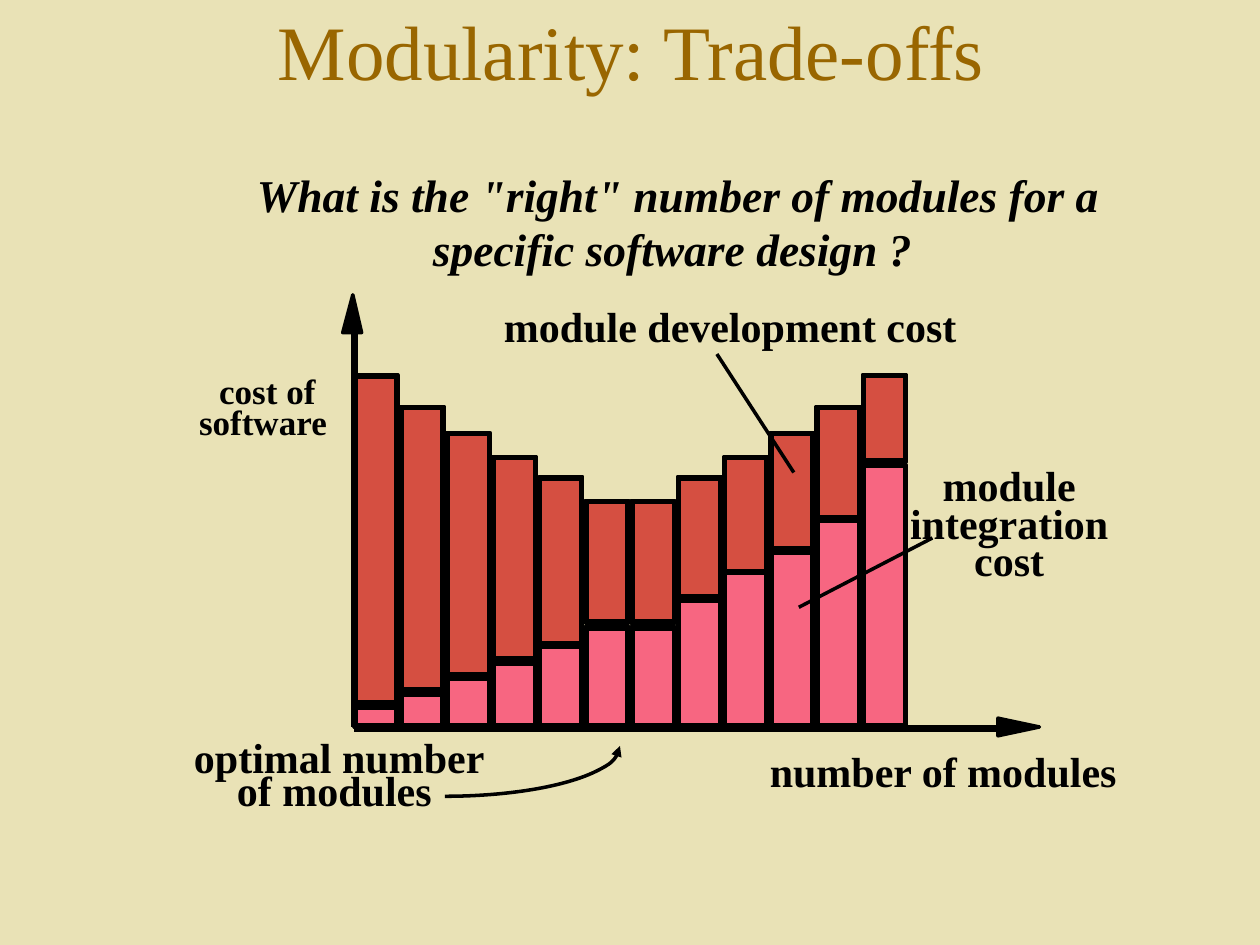
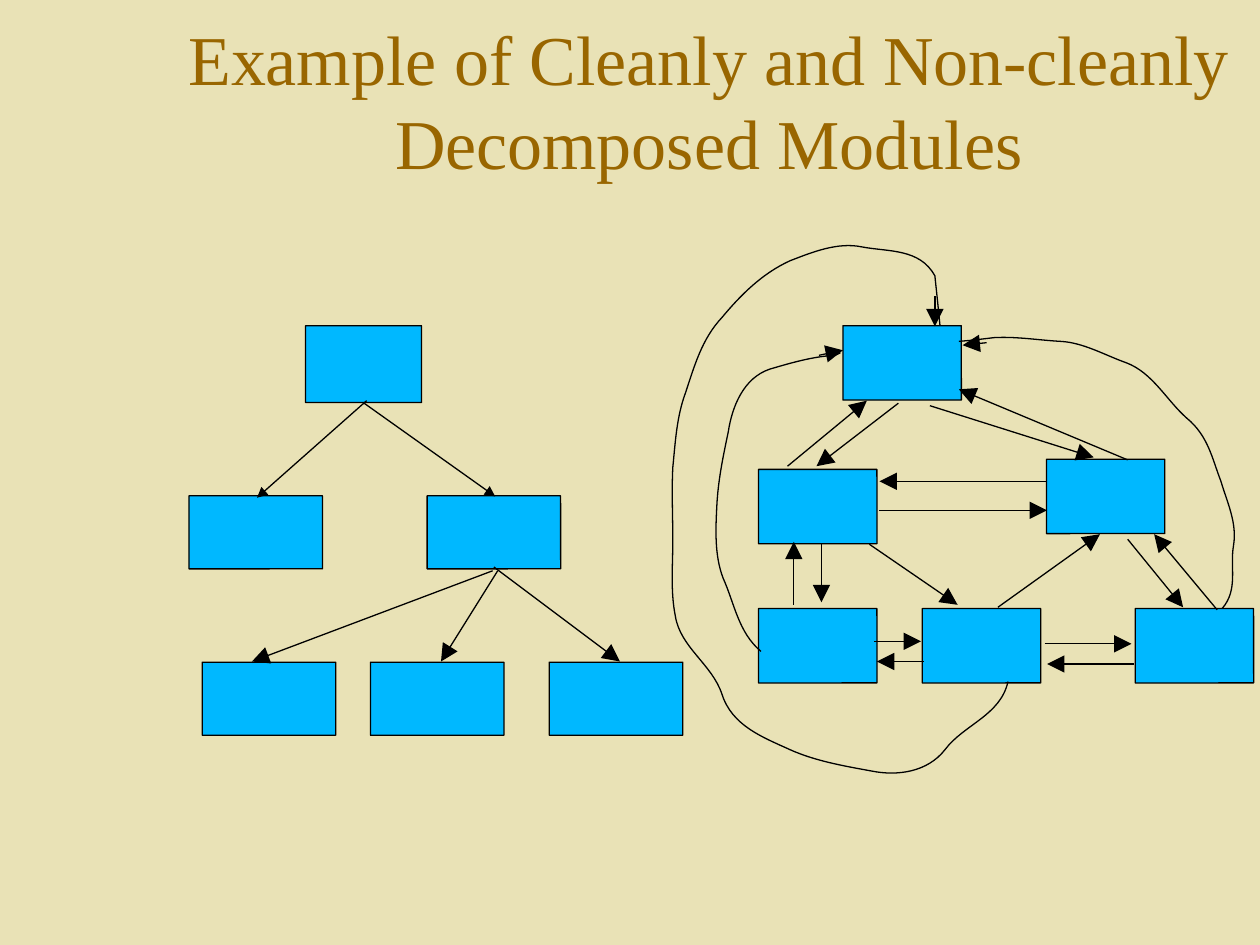
import dataclasses

import pptx
import pptx.dml.color
import pptx.enum.shapes
import pptx.enum.text
import pptx.oxml.ns
import pptx.util
from lxml import etree

COLORS = {
    "background": "E9E2B6",
    "title": "996600",
    "ink": "000000",
    "development": "D54F41",
    "integration": "F76681",
    "module": "00B8FF",
}
FONT = "Times New Roman"
COLUMNS, ROWS = 100, 75
SLIDE_WIDTH = pptx.util.Inches(10)
SLIDE_HEIGHT = pptx.util.Inches(7.5)
CELL = SLIDE_WIDTH // COLUMNS
ALIGN = pptx.enum.text.PP_ALIGN
ANCHOR = pptx.enum.text.MSO_ANCHOR
SHAPE = pptx.enum.shapes.MSO_SHAPE


@dataclasses.dataclass
class Region:
    """A part of a slide; positions inside it count grid cells from its corner."""
    slide: object
    left: float = 0
    top: float = 0

    def place(self, x, y):
        return int((self.left + x) * CELL), int((self.top + y) * CELL)

    def frame(self, x, y, width, height):
        return (*self.place(x, y), int(width * CELL), int(height * CELL))


def rgb(name):
    return pptx.dml.color.RGBColor.from_string(COLORS[name])


def style_shape(shape, fill, line_width):
    shape.shadow.inherit = False
    if fill:
        shape.fill.solid()
        shape.fill.fore_color.rgb = rgb(fill)
    else:
        shape.fill.background()
    style_line(shape.line, line_width)


def style_line(line, width):
    line.color.rgb = rgb("ink")
    line.width = pptx.util.Pt(width)


def add_arrowhead(line, size, end="tailEnd"):
    etree.SubElement(line._get_or_add_ln(), pptx.oxml.ns.qn(f"a:{end}"),
                     type="triangle", w=size, len=size)


def add_text(region, frame, lines, size, color="ink", align=ALIGN.LEFT, bold=True,
             italic=False, spacing=None, anchor=ANCHOR.TOP, insets=(0.11, 0.05)):
    text_frame = region.slide.shapes.add_textbox(*region.frame(*frame)).text_frame
    text_frame.word_wrap = True
    text_frame.vertical_anchor = anchor
    horizontal, vertical = (pptx.util.Inches(inset) for inset in insets)
    text_frame.margin_left = text_frame.margin_right = horizontal
    text_frame.margin_top = text_frame.margin_bottom = vertical
    text_frame.text = "\n".join(lines)
    for paragraph in text_frame.paragraphs:
        paragraph.alignment = align
        if spacing:
            paragraph.line_spacing = spacing
        font = paragraph.font
        font.name, font.size = FONT, pptx.util.Pt(size)
        font.bold, font.italic = bold, italic
        font.color.rgb = rgb(color)


def add_title(region, frame, text, size, anchor, insets):
    add_text(region, frame, [text], size, "title", ALIGN.CENTER, bold=False,
             anchor=anchor, insets=insets)


def add_preset(region, preset, frame, fill, line_width, adjustments=()):
    shape = region.slide.shapes.add_shape(preset, *region.frame(*frame))
    for index, adjustment in enumerate(adjustments):
        shape.adjustments[index] = adjustment
    style_shape(shape, fill, line_width)
    return shape


def add_line(region, start, end, width, arrow_size=None):
    connector = region.slide.shapes.add_connector(
        pptx.enum.shapes.MSO_CONNECTOR.STRAIGHT,
        *region.place(*start), *region.place(*end))
    etree.SubElement(connector._element.spPr, pptx.oxml.ns.qn("a:effectLst"))
    style_line(connector.line, width)
    if arrow_size:
        add_arrowhead(connector.line, arrow_size)


def add_outline(region, points, line_width, fill=None):
    """Draws a polygon when it has a fill, else an open path."""
    start, *others = [region.place(*point) for point in points]
    builder = region.slide.shapes.build_freeform(*start)
    builder.add_line_segments(others, close=bool(fill))
    shape = builder.convert_to_shape()
    style_shape(shape, fill, line_width)
    return shape


def add_curve(region, nodes, straight_end, line_width):
    """Nodes are a start, then two handles and an end for each cubic curve."""
    shape = add_outline(region, nodes + straight_end, line_width)
    segments = list(shape._element.iter(pptx.oxml.ns.qn("a:lnTo")))
    for first in range(0, len(nodes) - 1, 3):
        curve = etree.Element(pptx.oxml.ns.qn("a:cubicBezTo"))
        segments[first].addprevious(curve)
        for segment in segments[first:first + 3]:
            curve.append(segment[0])
            segment.getparent().remove(segment)


def add_cost_bars(region):
    bar_width, pitch, first_left, base = 3.2, 3.67, 18.22, 37.55
    border = 0.15
    falling_tops = [9.9, 12.4, 14.5, 16.4, 18, 19.9]
    tops = falling_tops + falling_tops[::-1]
    splits = [(35.7, 36.2), (34.7, 35.2), (33.5, 33.9), (32.2, 32.7),
              (31, 31.4), (29.3, 29.9), (29.3, 29.9), (27.3, 27.7),
              (25.3, 25.5), (23.5, 23.9), (21, 21.4), (16.5, 17)]
    for index, (top, (upper_end, lower_start)) in enumerate(zip(tops, splits)):
        left = first_left + index * pitch
        for fill, start, end in (("development", top, upper_end),
                                 ("integration", lower_start, base)):
            add_preset(region, SHAPE.RECTANGLE,
                       (left, start, bar_width, end - start), fill, 2)
            add_preset(region, SHAPE.RECTANGLE,
                       (left - border, start - border, bar_width + 2 * border,
                        end - start + 2 * border), None, 2)


def add_axes(region):
    origin_x, origin_y = 18.1, 37.8
    add_line(region, (origin_x, origin_y), (69.1, origin_y), 4)
    add_line(region, (origin_x, origin_y - 0.1), (origin_x, 6.3), 4)
    add_outline(region, [(72.5, 37.7), (69.2, 38.4), (69.2, 37.7), (69.2, 37)], 2, "ink")
    add_outline(region, [(18, 3.4), (18.7, 6.4), (18, 6.4), (17.2, 6.4)], 2, "ink")


def add_chart_labels(region):
    labels = [
        ("cost of", 6.3, 8.8, 12, 20),
        ("software", 4.7, 11.3, 14, 20),
        ("optimal number", 4.3, 37.55, 28, 24),
        ("of modules", 7.7, 40.2, 21, 24),
        ("number of modules", 50, 38.65, 32, 24),
        ("module development cost", 28.9, 3.35, 41, 24),
    ]
    for text, left, top, width, size in labels:
        add_text(region, (left, top, width, 5), [text], size)
    add_text(region, (60.1, 16.9, 20, 10), ["module", "integration", "cost"], 24,
             align=ALIGN.CENTER, spacing=0.75)
    add_line(region, (46.9, 8.1), (53, 17.5), 2)
    add_line(region, (64, 22.7), (53.4, 28.2), 2)
    quarter_turn = 54
    pointer = add_preset(region, SHAPE.ARC, (11.4, 35.2, 27.8, 8), None, 2,
                         (0, quarter_turn))
    add_arrowhead(pointer.line, "med", "headEnd")


def add_modules(region, corners, width, height):
    for left, top in corners:
        add_preset(region, SHAPE.ROUNDED_RECTANGLE, (left, top, width, height),
                   "module", 0.75, (0.003,))


def add_arrows(region, arrows, size="lg"):
    for start, end in arrows:
        add_line(region, start, end, 0.75, size)


def add_clean_tree(region):
    add_modules(region, [(14.25, 5.85)], 9.2, 6.1)
    add_modules(region, [(5, 19.35), (23.9, 19.35),
                         (6.05, 32.55), (19.4, 32.55), (33.6, 32.55)], 10.6, 5.8)
    add_arrows(region, [((19.1, 11.8), (10.4, 19.5)),
                        ((18.9, 12), (29.3, 19.4))], "med")
    add_arrows(region, [((29.1, 25.3), (10, 32.5)),
                        ((29.5, 25.3), (25, 32.5)),
                        ((29.2, 25), (39.2, 32.5))])


def add_tangled_graph(region):
    add_modules(region, [(16.9, 15.85), (33.05, 26.45), (40.1, 38.3),
                         (23.2, 38.3), (10.2, 38.3), (10.2, 27.25)], 9.4, 5.9)
    add_arrows(region, [
        ((21.3, 22), (14.8, 27)), ((12.5, 27), (18.8, 21.8)),
        ((23.8, 22.2), (36.8, 26.3)), ((39.5, 26.5), (26.1, 20.9)),
        ((19.8, 30.5), (33.1, 30.5)), ((33.1, 28.2), (19.8, 28.2)),
        ((15.2, 33.2), (15.2, 37.8)), ((13, 38), (13, 33)),
        ((19, 33.2), (26, 38)), ((29.2, 38.2), (37.3, 32.4)),
        ((39.5, 32.8), (43.9, 38.2)), ((46.6, 38.4), (41.6, 32.4)),
        ((32.9, 41.1), (39.8, 41.1)), ((40, 42.7), (33.1, 42.7)),
        ((19.4, 40.9), (23.1, 40.9)), ((23.3, 42.5), (19.6, 42.5)),
        ((15, 18.2), (16.9, 17.8)), ((28.3, 17.2), (26.4, 17.4)),
        ((24.2, 13.5), (24.2, 15.9)),
    ])
    inner_loop = [
        (10.4, 41.7), (8.6, 40.2), (8.3, 37.9), (7.4, 35.9),
        (6.7, 34.1), (6.8, 32), (6.9, 30.1), (7, 28.1), (7.4, 26.2), (7.8, 24.3),
        (8.1, 22.3), (9, 20), (11.1, 19.3), (12.8, 18.8), (14.5, 18.3), (16.3, 18.2)]
    right_loop = [
        (47, 38.3), (48.3, 36.8), (47.6, 35), (47.9, 33.3),
        (48.2, 31.5), (47.4, 29.9), (46.9, 28.2), (46.2, 26.4), (45.9, 24.6), (44.2, 23.2),
        (42.6, 21.8), (41.5, 19.6), (39.4, 18.8), (37.7, 18.2), (36, 17.2), (34.2, 17.1),
        (32.4, 17), (30.7, 16.7), (28.9, 16.8)]
    outer_loop = [
        (30, 44.1), (29.4, 46.8), (26.5, 47.5), (25, 49.5),
        (23.6, 51.3), (21.2, 51.6), (19.2, 51.2), (17, 50.8), (14.7, 50.4), (12.7, 49.5),
        (10.5, 48.5), (8.1, 47.6), (7.3, 45.1), (6.5, 42.7), (4, 41.4), (3.6, 38.9),
        (3.2, 36.9), (3.4, 34.9), (3.4, 32.9), (3.4, 31), (3.3, 29), (3.4, 27.1),
        (3.6, 25.1), (3.7, 23.1), (4.4, 21.2), (5.1, 19.1), (5.7, 16.9), (7.3, 15.2),
        (8.8, 13.4), (10.5, 11.7), (12.7, 10.7), (14.5, 10), (16.5, 9.2), (18.4, 9.6),
        (20.5, 10), (23, 9.7), (24.2, 11.9)]
    for nodes, straight_end in ((inner_loop, [(16.7, 18)]),
                                (right_loop, [(27.2, 17), (26.1, 17.1)]),
                                (outer_loop, [(24.4, 13.8), (24.6, 15.8)])):
        add_curve(region, nodes, straight_end, 0.75)


def add_slide(presentation):
    slide = presentation.slides.add_slide(presentation.slide_layouts[6])
    slide.background.fill.solid()
    slide.background.fill.fore_color.rgb = rgb("background")
    return slide


def build_trade_offs(slide):
    page = Region(slide)
    add_title(page, (7.5, 0, 85.2, 8), "Modularity: Trade-offs", 44,
              ANCHOR.TOP, (0.08, 0.03))
    add_text(page, (19.2, 12.75, 69.3, 9.7),
             ['What is the "right" number of modules for a specific software design ? '],
             26, align=ALIGN.CENTER, italic=True)
    chart = Region(slide, 10, 20)
    add_cost_bars(chart)
    add_axes(chart)
    add_chart_labels(chart)


def build_decomposition(slide):
    add_title(Region(slide), (14.15, 1.65, 84.2, 12.5),
              "Example of Cleanly and Non-cleanly Decomposed Modules", 40,
              ANCHOR.MIDDLE, (0, 0))
    add_clean_tree(Region(slide, 10, 20))
    add_tangled_graph(Region(slide, 50, 10))


def main():
    presentation = pptx.Presentation()
    presentation.slide_width, presentation.slide_height = SLIDE_WIDTH, SLIDE_HEIGHT
    build_trade_offs(add_slide(presentation))
    build_decomposition(add_slide(presentation))
    presentation.save("out.pptx")


if __name__ == "__main__":
    main()
